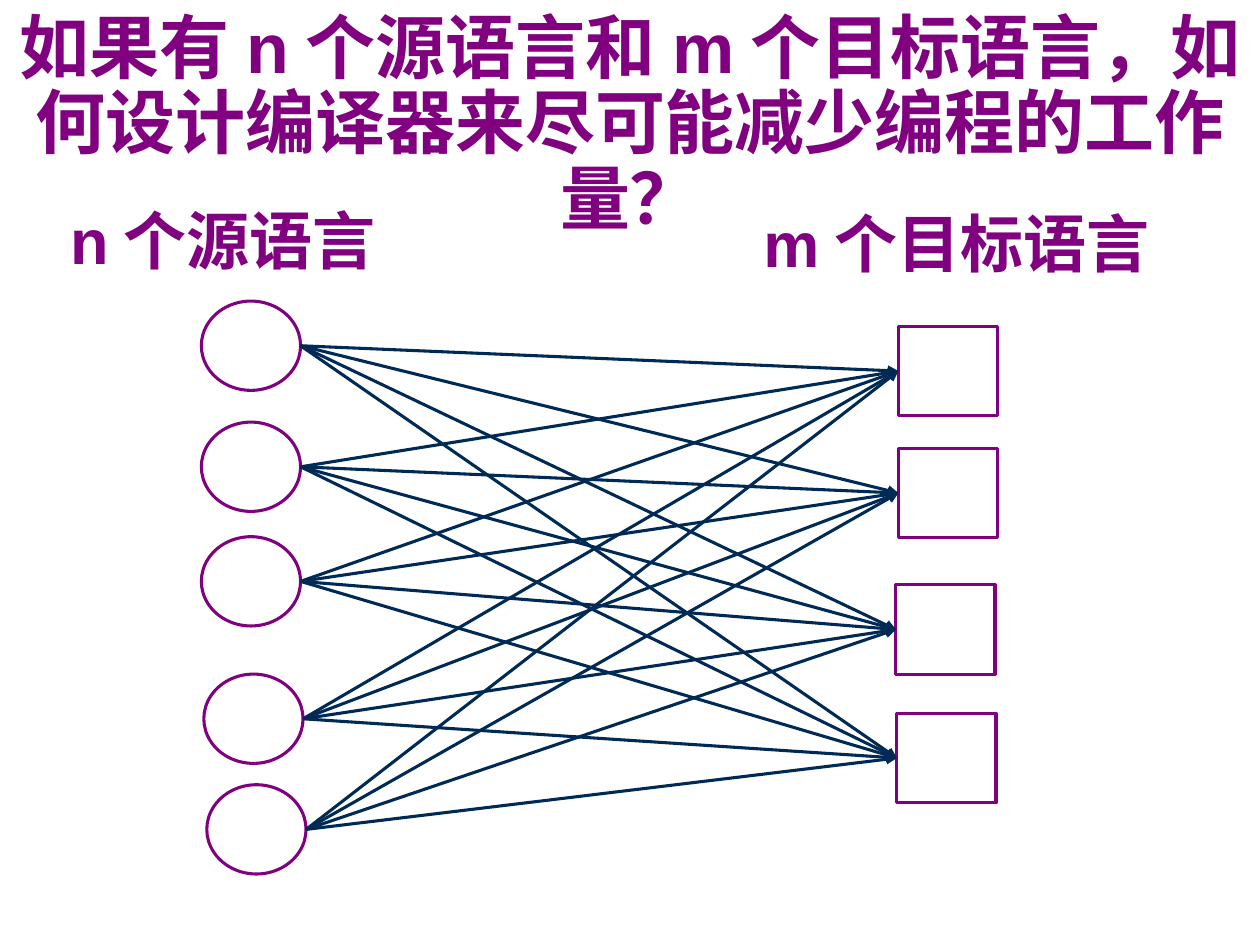
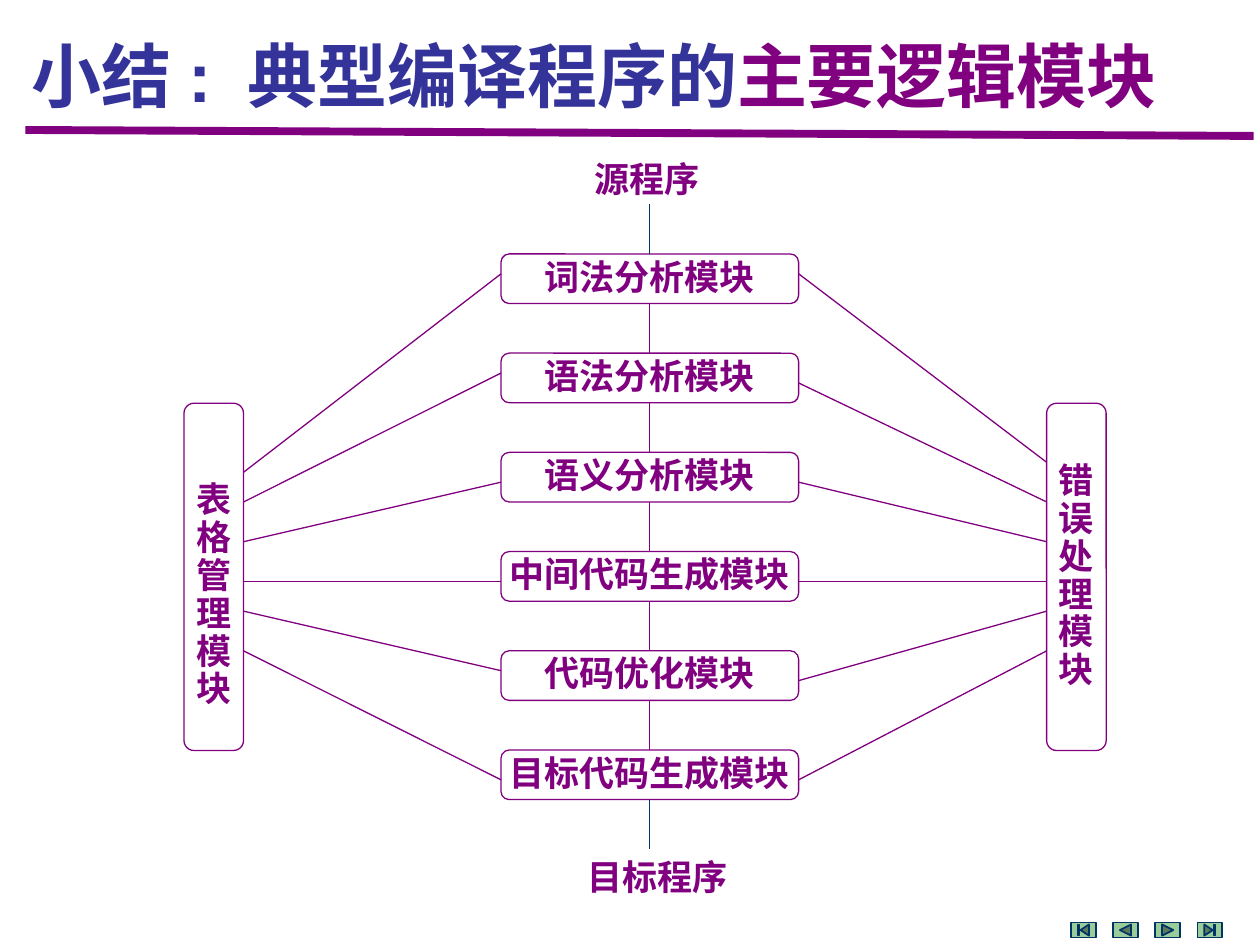
from dataclasses import dataclass

from lxml.etree import SubElement
from pptx import Presentation
from pptx.dml.color import RGBColor
from pptx.enum.shapes import MSO_CONNECTOR, MSO_SHAPE
from pptx.enum.text import MSO_ANCHOR, MSO_AUTO_SIZE, PP_ALIGN
from pptx.oxml.ns import qn
from pptx.util import Cm, Pt


@dataclass(frozen=True)
class Theme:
    font: str = "Arial"
    purple: RGBColor = RGBColor(0x80, 0x00, 0x80)
    blue: RGBColor = RGBColor(0x33, 0x33, 0x99)
    arrow: RGBColor = RGBColor(0x00, 0x2A, 0x56)
    navy: RGBColor = RGBColor(0x00, 0x33, 0x66)
    green: RGBColor = RGBColor(0x99, 0xCC, 0x99)
    white: RGBColor = RGBColor(0xFF, 0xFF, 0xFF)
    title_size: Pt = Pt(40)
    label_size: Pt = Pt(36)
    module_size: Pt = Pt(20)
    thin: Pt = Pt(0.75)
    medium: Pt = Pt(1.75)
    heavy: Pt = Pt(4.5)


theme = Theme()


def style_text(shape, size, anchor=MSO_ANCHOR.TOP, align=PP_ALIGN.CENTER, spacing=1.0, wrap=True):
    frame = shape.text_frame
    frame.auto_size = MSO_AUTO_SIZE.NONE
    frame.word_wrap = wrap
    frame.vertical_anchor = anchor
    for paragraph in frame.paragraphs:
        paragraph.alignment = align
        paragraph.line_spacing = spacing
        paragraph.space_before = Pt(0)
        for run in paragraph.runs:
            run.font.name = theme.font
            run.font.size = size
            run.font.bold = True
            run.font.color.rgb = theme.purple


def draw_line(slide, start, end, color, width):
    line = slide.shapes.add_connector(
        MSO_CONNECTOR.STRAIGHT, Cm(start[0]), Cm(start[1]), Cm(end[0]), Cm(end[1]))
    line.line.color.rgb = color
    line.line.width = width
    SubElement(line._element.spPr, qn("a:effectLst"))
    return line


prs = Presentation()
prs.slide_width, prs.slide_height = Cm(25.4), Cm(19.05)
title_only = prs.slide_layouts[5]

# Slide 1: every source language is joined to every target language
pairs_slide = prs.slides.add_slide(title_only)
question = pairs_slide.shapes.title
question.left, question.top, question.width, question.height = Cm(0), Cm(0.13), Cm(25.4), Cm(3.38)
question.text_frame.text = "如果有n个源语言和m个目标语言，如何设计编译器来尽可能减少编程的工作量？"
style_text(question, theme.title_size, spacing=0.9)

# Column headings
for heading, left, top, width in [("n个源语言", 0.71, 3.94, 7.57), ("m个目标语言", 15.09, 3.99, 8.38)]:
    column = pairs_slide.shapes.add_textbox(Cm(left), Cm(top), Cm(width), Cm(1.8))
    column.text_frame.text = heading
    style_text(column, theme.label_size)

# Languages
node_width, node_height = 2, 1.8
source_places = [(4.06, 6.07), (4.06, 8.51), (4.06, 10.82), (4.11, 13.59), (4.17, 15.82)]
target_places = [(18.11, 6.58), (18.11, 9.04), (18.06, 11.79), (18.08, 14.38)]
targets = []
for kind, places in [(MSO_SHAPE.OVAL, source_places), (MSO_SHAPE.RECTANGLE, target_places)]:
    for left, top in places:
        language = pairs_slide.shapes.add_shape(
            kind, Cm(left), Cm(top), Cm(node_width), Cm(node_height))
        language.shadow.inherit = False
        language.fill.background()
        language.line.color.rgb = theme.purple
        language.line.width = theme.medium
        if kind == MSO_SHAPE.RECTANGLE:
            targets.append(language)

# One compiler for each pair
for left, top in source_places:
    start = (left + node_width, top + node_height / 2)
    for target in targets:
        compiler = draw_line(pairs_slide, start, start, theme.arrow, theme.medium)
        compiler.end_connect(target, 1)
        SubElement(compiler.line._get_or_add_ln(), qn("a:tailEnd"), type="triangle")

# Slide 2: modules of a compiler
modules_slide = prs.slides.add_slide(title_only)
summary = modules_slide.shapes.title
summary.left, summary.top, summary.width, summary.height = Cm(0.38), Cm(0.53), Cm(24.54), Cm(1.96)
summary.text_frame.text = "小结: 典型编译程序的"
summary.text_frame.paragraphs[0].add_run().text = "主要逻辑模块"
style_text(summary, theme.title_size, align=PP_ALIGN.LEFT)
summary.text_frame.paragraphs[0].runs[0].font.color.rgb = theme.blue
draw_line(modules_slide, (0.51, 2.62), (25.27, 2.74), theme.purple, theme.heavy)

# Stages in the middle, shared modules at the sides
stage_left, stage_top, stage_width, stage_height, stage_pitch = 10.1, 5.12, 6, 1, 2
bar_top, bar_width, bar_height = 8.13, 1.2, 7
table_left, error_left = 3.71, 21.1
stage_names = ["词法分析模块", "语法分析模块", "语义分析模块",
               "中间代码生成模块", "代码优化模块", "目标代码生成模块"]
stage_tops = [stage_top + i * stage_pitch for i in range(len(stage_names))]
module_places = [(name, stage_left, top, stage_width, stage_height)
                 for name, top in zip(stage_names, stage_tops)]
module_places += [("\n".join("表格管理模块"), table_left, bar_top, bar_width, bar_height),
                  ("\n".join("错误处理模块"), error_left, bar_top, bar_width, bar_height)]
modules = []
for name, *place in module_places:
    module = modules_slide.shapes.add_shape(
        MSO_SHAPE.ROUNDED_RECTANGLE, *[Cm(length) for length in place])
    module.shadow.inherit = False
    module.fill.solid()
    module.fill.fore_color.rgb = theme.white
    module.line.color.rgb = theme.purple
    module.line.width = theme.thin
    module.text_frame.text = name
    style_text(module, theme.module_size, MSO_ANCHOR.MIDDLE, spacing=0.9, wrap=False)
    modules.append(module)
*stages, table_module, error_module = modules
table_module.text_frame.margin_top = Cm(0.9)

# Flow from the source program to the target program
for above, below in zip(stages, stages[1:]):
    step = draw_line(modules_slide, (0, 0), (0, 0), theme.purple, theme.thin)
    step.begin_connect(above, 2)
    step.end_connect(below, 0)
flow_x = stage_left + stage_width / 2
entry = draw_line(modules_slide, (flow_x, stage_top - 1), (flow_x, stage_top), theme.navy, theme.thin)
entry.end_connect(stages[0], 0)
exit_y = stage_tops[-1] + stage_height
result = draw_line(modules_slide, (flow_x, exit_y), (flow_x, exit_y + 1), theme.navy, theme.thin)
result.begin_connect(stages[-1], 2)

for name, left, top, width in [("源程序", 11.73, 3.05, 2.64), ("目标程序", 11.58, 17.12, 3.35)]:
    program = modules_slide.shapes.add_textbox(Cm(left), Cm(top), Cm(width), Cm(1.12))
    program.text_frame.text = name
    style_text(program, theme.module_size, wrap=False)

# Spokes: bar edge, stage edge, heights on the bar, drops below each stage top
spokes = [
    (table_left + bar_width, stage_left,
     [9.52, 10.12, 10.92, 11.72, 12.32, 13.12], [0.4, 0.4, 0.6, 0.6, 0.4, 0.6]),
    (error_left, stage_left + stage_width,
     [9.32, 10.12, 10.92, 11.72, 12.32, 13.12], [0.4, 0.6, 0.6, 0.6, 0.6, 0.6]),
]
for bar_x, stage_x, bar_heights, drops in spokes:
    for bar_y, top, drop in zip(bar_heights, stage_tops, drops):
        draw_line(modules_slide, (bar_x, bar_y), (stage_x, top + drop), theme.purple, theme.thin)

# Navigation buttons
buttons = [MSO_SHAPE.ACTION_BUTTON_BEGINNING, MSO_SHAPE.ACTION_BUTTON_BACK_OR_PREVIOUS,
           MSO_SHAPE.ACTION_BUTTON_FORWARD_OR_NEXT, MSO_SHAPE.ACTION_BUTTON_END]
for i, kind in enumerate(buttons):
    button = modules_slide.shapes.add_shape(kind, Cm(21.59 + 0.85 * i), Cm(18.6), Cm(0.5), Cm(0.3))
    button.shadow.inherit = False
    button.fill.solid()
    button.fill.fore_color.rgb = theme.green
    button.line.color.rgb = theme.navy
    button.line.width = Pt(1)

prs.save("out.pptx")
